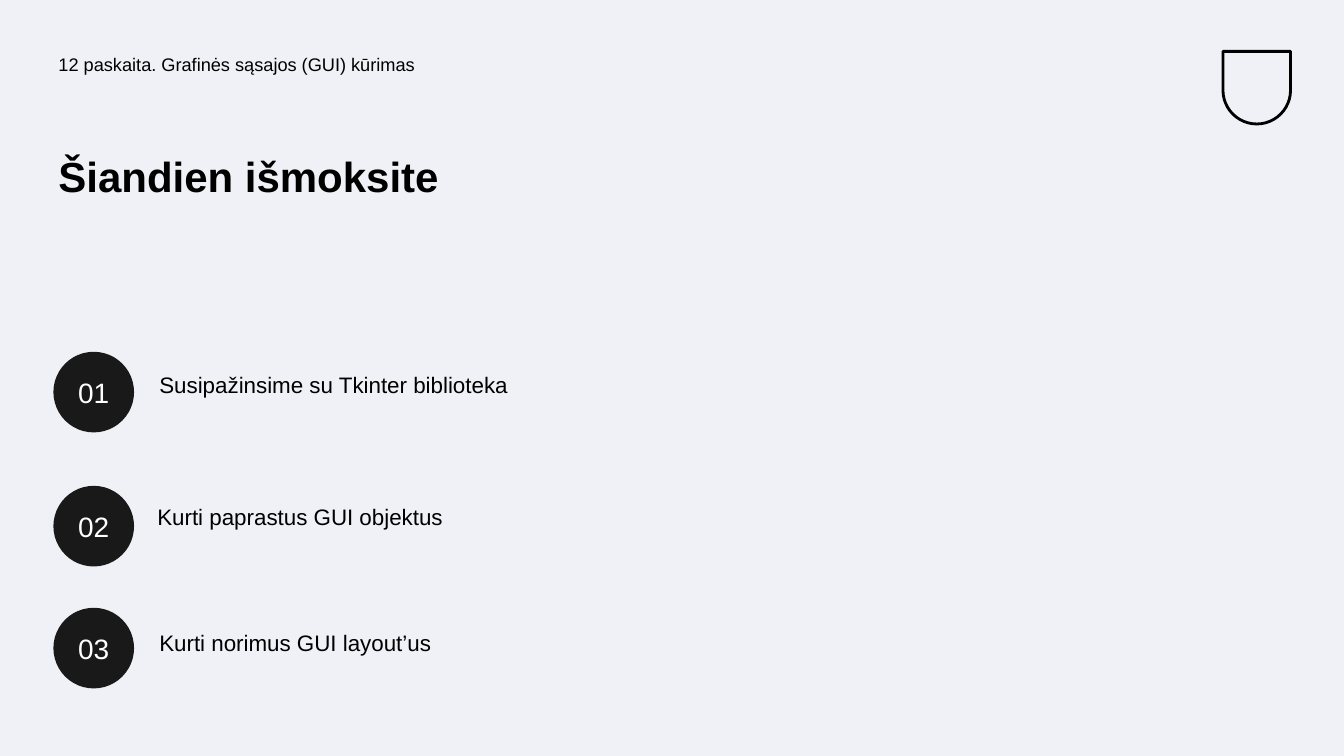
from lxml.etree import SubElement
from pptx import Presentation
from pptx.dml.color import RGBColor
from pptx.enum.shapes import MSO_SHAPE
from pptx.enum.text import MSO_ANCHOR, MSO_AUTO_SIZE, PP_ALIGN
from pptx.oxml.ns import qn
from pptx.util import Inches, Pt

COLORS = {"background": "F0F1F6", "ink": "000000", "badge": "191919", "number": "FEFFFF"}
FONT = "Arial"
MARGIN = 0.53
BADGE_SIZE = 0.8

LESSONS = [
    ("Susipažinsime su Tkinter biblioteka", 3.49, 1.53, 3.66),
    ("Kurti paprastus GUI objektus", 4.82, 1.51, 4.97),
    ("Kurti norimus GUI layout’us", 6.03, 1.53, 6.22),
]


class LessonSlide:
    """Holds the style and the current slide, and adds each kind of element."""

    def __init__(self, deck):
        self.page = deck.slides.add_slide(deck.slide_layouts.get_by_name("Comparison"))
        self.title, *self.bodies = self.page.placeholders
        fill = self.page.background.fill
        fill.solid()
        fill.fore_color.rgb = self.color("background")

    def color(self, name):
        return RGBColor.from_string(COLORS[name])

    def add_text(self, box, text, size, color, anchor, align, bold=False):
        frame = box.text_frame
        frame.word_wrap = True
        frame.auto_size = MSO_AUTO_SIZE.NONE
        frame.vertical_anchor = anchor
        frame.margin_left = frame.margin_right = Inches(0.05)
        frame.margin_top = frame.margin_bottom = Inches(0.05)
        para = frame.paragraphs[0]
        para.alignment = align
        span = para.add_run()
        span.text = text
        span.font.name = FONT
        span.font.size = Pt(size)
        span.font.bold = bold
        span.font.color.rgb = self.color(color)
        return para

    def fill_placeholder(self, box, text, place, size, space_before=10, bold=False):
        box.left, box.top, box.width, box.height = map(Inches, place)
        para = self.add_text(box, text, size, "ink", MSO_ANCHOR.TOP, PP_ALIGN.LEFT, bold)
        para.line_spacing = 0.9
        para.space_before = Pt(space_before)
        properties = para._p.get_or_add_pPr()
        properties.set("marL", "0")
        properties.set("indent", "0")
        SubElement(properties, qn("a:buNone"))

    def add_badge(self, number, top):
        badge = self.page.shapes.add_shape(
            MSO_SHAPE.OVAL, Inches(MARGIN), Inches(top), Inches(BADGE_SIZE), Inches(BADGE_SIZE)
        )
        badge.shadow.inherit = False
        badge.fill.solid()
        badge.fill.fore_color.rgb = self.color("badge")
        badge.line.fill.background()
        self.add_text(badge, f"{number:02}", 20, "number", MSO_ANCHOR.MIDDLE, PP_ALIGN.CENTER)

    def add_shield(self, left, top, width, height):
        shield = self.page.shapes.add_shape(
            MSO_SHAPE.ROUND_2_SAME_RECTANGLE, *map(Inches, (left, top, width, height))
        )
        shield.adjustments[0] = 0
        shield.adjustments[1] = 0.5
        shield.shadow.inherit = False
        shield.fill.background()
        shield.line.color.rgb = self.color("ink")
        shield.line.width = Pt(2)


def main():
    deck = Presentation()
    deck.slide_width = Inches(13.33)
    deck.slide_height = Inches(7.5)
    slide = LessonSlide(deck)
    slide.add_shield(12.13, 0.51, 0.67, 0.72)
    header, *items = slide.bodies
    slide.fill_placeholder(
        header, "12 paskaita. Grafinės sąsajos (GUI) kūrimas", (MARGIN, 0.5, 6.14, 0.49), 13
    )
    slide.fill_placeholder(
        slide.title, "Šiandien išmoksite", (MARGIN, 1.5, 5.64, 1.49), 30, space_before=0, bold=True
    )
    for number, (item, lesson) in enumerate(zip(items, LESSONS), start=1):
        text, badge_top, left, top = lesson
        slide.fill_placeholder(item, text, (left, top, 4.63, 0.39), 16)
        slide.add_badge(number, badge_top)
    deck.save("out.pptx")


if __name__ == "__main__":
    main()
